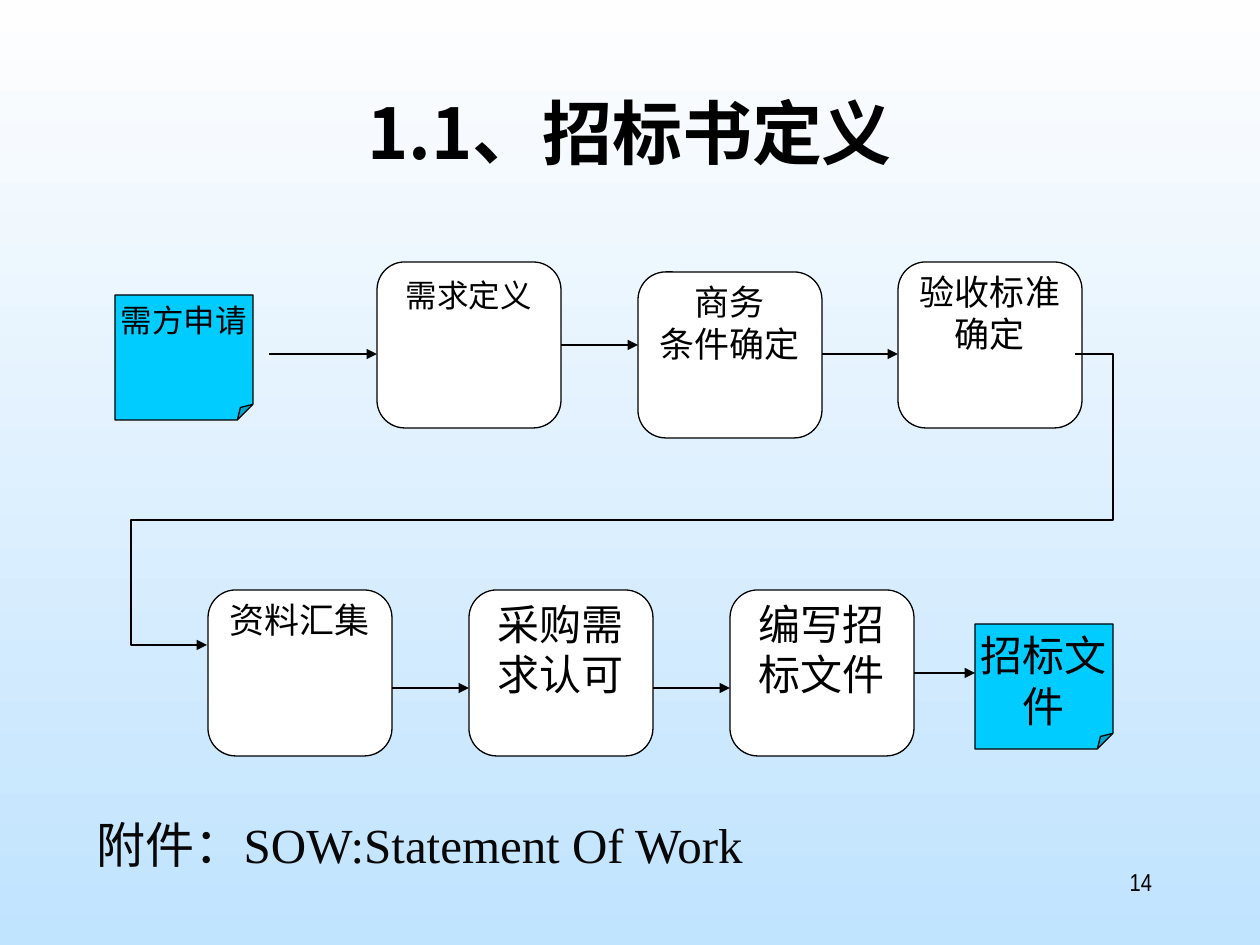
import pptx
import pptx.util
import pptx.dml.color
import pptx.enum.shapes
import pptx.enum.text
import pptx.oxml.ns
from lxml import etree

PX = 914400 / 126
SHAPE = pptx.enum.shapes.MSO_SHAPE
ALIGN = pptx.enum.text.PP_ALIGN
qn = pptx.oxml.ns.qn


def paint(color_format, hex_color):
    color_format.rgb = pptx.dml.color.RGBColor.from_string(hex_color)


def write(shape, text, size=20, color="000000", latin="Times New Roman",
          bold=False, align=ALIGN.CENTER, inset=(13, 6)):
    frame = shape.text_frame
    frame.word_wrap = True
    frame.vertical_anchor = pptx.enum.text.MSO_ANCHOR.TOP
    frame.margin_left = frame.margin_right = round(inset[0] * PX)
    frame.margin_top = frame.margin_bottom = round(inset[1] * PX)
    frame.text = text
    for paragraph in frame.paragraphs:
        paragraph.alignment = align
        for run in paragraph.runs:
            run.font.size = pptx.util.Pt(size)
            run.font.bold = bold
            run.font.name = latin
            paint(run.font.color, color)
            east_asian = etree.SubElement(run.font._element, qn("a:ea"))
            east_asian.set("typeface", "Noto Sans CJK SC")


deck = pptx.Presentation()
deck.slide_width = round(1260 * PX)
deck.slide_height = round(945 * PX)
slide = deck.slides.add_slide(deck.slide_layouts[6])
shapes = slide.shapes

# Background: white fading down to light blue
backdrop = slide.background.fill
backdrop.gradient()
backdrop.gradient_angle = 270
for stop, shade in zip(backdrop.gradient_stops, ("FEFEFE", "C0E3FE")):
    paint(stop.color, shade)

# Title, attachment note and page number
captions = [
    ((94, 84, 1071, 158), "1.1、招标书定义",
     dict(size=40, latin="Noto Sans CJK SC", bold=True)),
    ((84, 809, 746, 72), "附件：SOW:Statement Of Work",
     dict(size=28, color="080808", align=ALIGN.LEFT)),
    ((903, 861, 262, 63), "14",
     dict(size=14, latin="Arial Narrow", align=ALIGN.RIGHT)),
]
for box, text, style in captions:
    write(shapes.add_textbox(*[round(v * PX) for v in box]), text, **style)

# Process steps and the documents at either end: left, top, text, size, inset
steps = [
    (377, 262, "需求定义", 18, (13, 6)),
    (638, 272, "商务\n条件确定", 20, (13, 0)),
    (898, 262, "验收标准确定", 20, (0, 0)),
    (208, 590, "资料汇集", 20, (13, 0)),
    (469, 590, "采购需求认可", 24, (13, 0)),
    (730, 590, "编写招标文件", 24, (13, 0)),
]
documents = [
    (115, 295, "需方申请", 18, (0, 6)),
    (975, 624, "招标文件", 24, (0, 6)),
]
groups = [
    (steps, SHAPE.ROUNDED_RECTANGLE, 184, 166, 16700, "FFFFFF"),
    (documents, SHAPE.FOLDED_CORNER, 138, 125, 12500, "00CCFF"),
]
for members, outline, width, height, corner, fill in groups:
    for left, top, text, size, inset in members:
        node = shapes.add_shape(
            outline, *[round(v * PX) for v in (left, top, width, height)])
        # The folded corner has no public adjustment, so set the guide itself
        guides = node._element.spPr.find(qn("a:prstGeom")).find(qn("a:avLst"))
        etree.SubElement(guides, qn("a:gd"), name="adj", fmla=f"val {corner}")
        node.shadow.inherit = False
        node.fill.solid()
        paint(node.fill.fore_color, fill)
        paint(node.line.color, "000000")
        node.line.width = pptx.util.Pt(0.75)
        write(node, text, size=size, inset=inset)

# Straight arrows between neighbours: start x, end x, y
flows = []
for start, end, y in [(269, 377, 354), (561, 638, 345), (822, 898, 354),
                      (392, 469, 688), (653, 730, 688), (914, 975, 673)]:
    flow = shapes.add_connector(
        pptx.enum.shapes.MSO_CONNECTOR.STRAIGHT,
        *[round(v * PX) for v in (start, y, end, y)])
    etree.SubElement(flow._element.spPr, qn("a:effectLst"))
    flows.append(flow)

# Bent arrow from the upper row to the lower row
bend = shapes.build_freeform(1075, 354, scale=PX)
bend.add_line_segments(
    [(1113, 354), (1113, 520), (131, 520), (131, 645), (207, 645)],
    close=False)
row_change = bend.convert_to_shape()
row_change.shadow.inherit = False
row_change.fill.background()
flows.append(row_change)

# Line and arrowhead of every flow
for flow in flows:
    paint(flow.line.color, "000000")
    flow.line.width = pptx.util.Pt(0.75)
    head = etree.SubElement(flow.line._get_or_add_ln(), qn("a:tailEnd"))
    head.set("type", "triangle")

deck.save("out.pptx")
